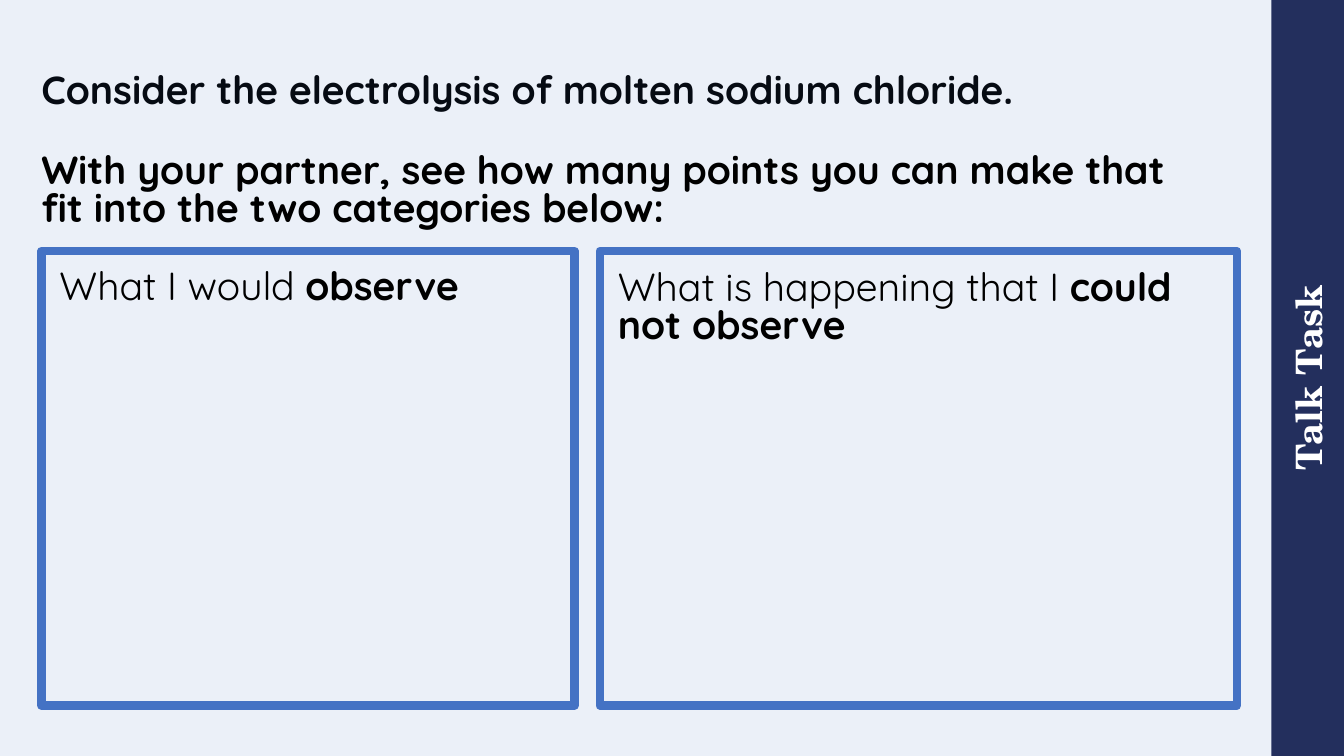
from dataclasses import dataclass

from lxml import etree
from pptx import Presentation
from pptx import util as u
from pptx.dml.color import RGBColor
from pptx.enum import shapes, text
from pptx.oxml.ns import qn


@dataclass(frozen=True)
class Theme:
    paper: str = "FFFFFF"
    accent: str = "4472C4"
    navy: str = "232F5D"
    ink: str = "000000"
    body_font: str = "Quicksand"
    banner_font: str = "TeX Gyre Schola"
    body_size: int = 28
    banner_size: int = 26
    frame_width: int = 6
    wash_opacity: int = 10


def write(frame, runs, *, font, size, color, align=text.PP_ALIGN.LEFT,
          anchor=text.MSO_ANCHOR.BOTTOM, spacing=1.0):
    """Fill a text frame with one paragraph of (wording, bold) runs."""
    frame.word_wrap = True
    frame.auto_size = text.MSO_AUTO_SIZE.NONE
    frame.vertical_anchor = anchor
    frame.margin_left = frame.margin_right = frame.margin_top = frame.margin_bottom = 0
    paragraph = frame.paragraphs[0]
    paragraph.alignment = align
    paragraph.line_spacing = spacing
    for wording, bold in runs:
        run = paragraph.add_run()
        run.text = wording
        run.font.name = font
        run.font.size = u.Pt(size)
        run.font.bold = bold
        run.font.color.rgb = RGBColor.from_string(color)


class TaskSlide:
    """One slide on a grid of 160 columns by 90 rows."""

    COLUMNS, ROWS = 160, 90

    def __init__(self, deck, theme):
        self.theme = theme
        self.column = deck.slide_width / self.COLUMNS
        self.row = deck.slide_height / self.ROWS
        self.slide = deck.slides.add_slide(deck.slide_layouts[5])
        fill = self.slide.background.fill
        fill.solid()
        fill.fore_color.rgb = RGBColor.from_string(theme.paper)

    def place(self, left, top, width, height):
        return (round(left * self.column), round(top * self.row),
                round(width * self.column), round(height * self.row))

    def rectangle(self, *area, fill=None, opacity=100, line=None):
        box = self.slide.shapes.add_shape(shapes.MSO_SHAPE.RECTANGLE, *self.place(*area))
        box.shadow.inherit = False
        if fill:
            box.fill.solid()
            box.fill.fore_color.rgb = RGBColor.from_string(fill)
            if opacity < 100:
                tint = box.fill._xPr.find(".//" + qn("a:srgbClr"))
                etree.SubElement(tint, qn("a:alpha"), val=str(opacity * 1000))
        else:
            box.fill.background()
        if line:
            box.line.color.rgb = RGBColor.from_string(line)
            box.line.width = u.Pt(self.theme.frame_width)
        else:
            box.line.fill.background()
        return box

    def wash(self):
        self.rectangle(0, 0, self.COLUMNS, self.ROWS, fill=self.theme.accent,
                       opacity=self.theme.wash_opacity)

    def banner(self, wording, thickness):
        """Add a full-height strip at the right edge, reading upwards."""
        left = self.COLUMNS - (thickness + self.ROWS) / 2
        strip = self.rectangle(left, (self.ROWS - thickness) / 2, self.ROWS, thickness,
                               fill=self.theme.navy)
        strip.rotation = 270
        write(strip.text_frame, [(wording, True)], font=self.theme.banner_font,
              size=self.theme.banner_size, color=self.theme.paper,
              align=text.PP_ALIGN.CENTER, anchor=text.MSO_ANCHOR.MIDDLE)

    def body(self, frame, runs, spacing):
        write(frame, runs, font=self.theme.body_font, size=self.theme.body_size,
              color=self.theme.ink, spacing=spacing)

    def title(self, wording, *area):
        heading = self.slide.shapes.title
        heading.left, heading.top, heading.width, heading.height = self.place(*area)
        self.body(heading.text_frame, [(wording, True)], 0.9)

    def label(self, runs, *area, spacing=0.8):
        box = self.slide.shapes.add_textbox(*self.place(*area))
        self.body(box.text_frame, runs, spacing)

    def frame(self, *area):
        self.rectangle(*area, line=self.theme.accent)


def main():
    deck = Presentation()
    deck.slide_width, deck.slide_height = u.Inches(13.33), u.Inches(7.5)
    task = TaskSlide(deck, Theme())

    margin, text_width, text_height = 4.92, 139.32, 9.48
    task.wash()
    task.banner("Talk Task", 8.64)
    task.title("Consider the electrolysis of molten sodium chloride.",
               margin, 3.96, text_width, text_height)
    task.label([("With your partner, see how many points you can make that "
                 "fit into the two categories below:", True)],
               margin, 17.88, text_width, text_height)

    frame_top, frame_height, inset = 29.88, 54.12, 2.16
    categories = [
        (margin, 63.48, 27.24, 0.9, [("What I would ", False), ("observe", True)]),
        (71.4, 75.84, 31.8, 0.8, [("What is happening that I ", False),
                                  ("could not observe", True)]),
    ]
    for left, width, label_top, spacing, runs in categories:
        task.frame(left, frame_top, width, frame_height)
        task.label(runs, left + inset, label_top, width - 2 * inset, text_height,
                   spacing=spacing)

    deck.save("out.pptx")


if __name__ == "__main__":
    main()
